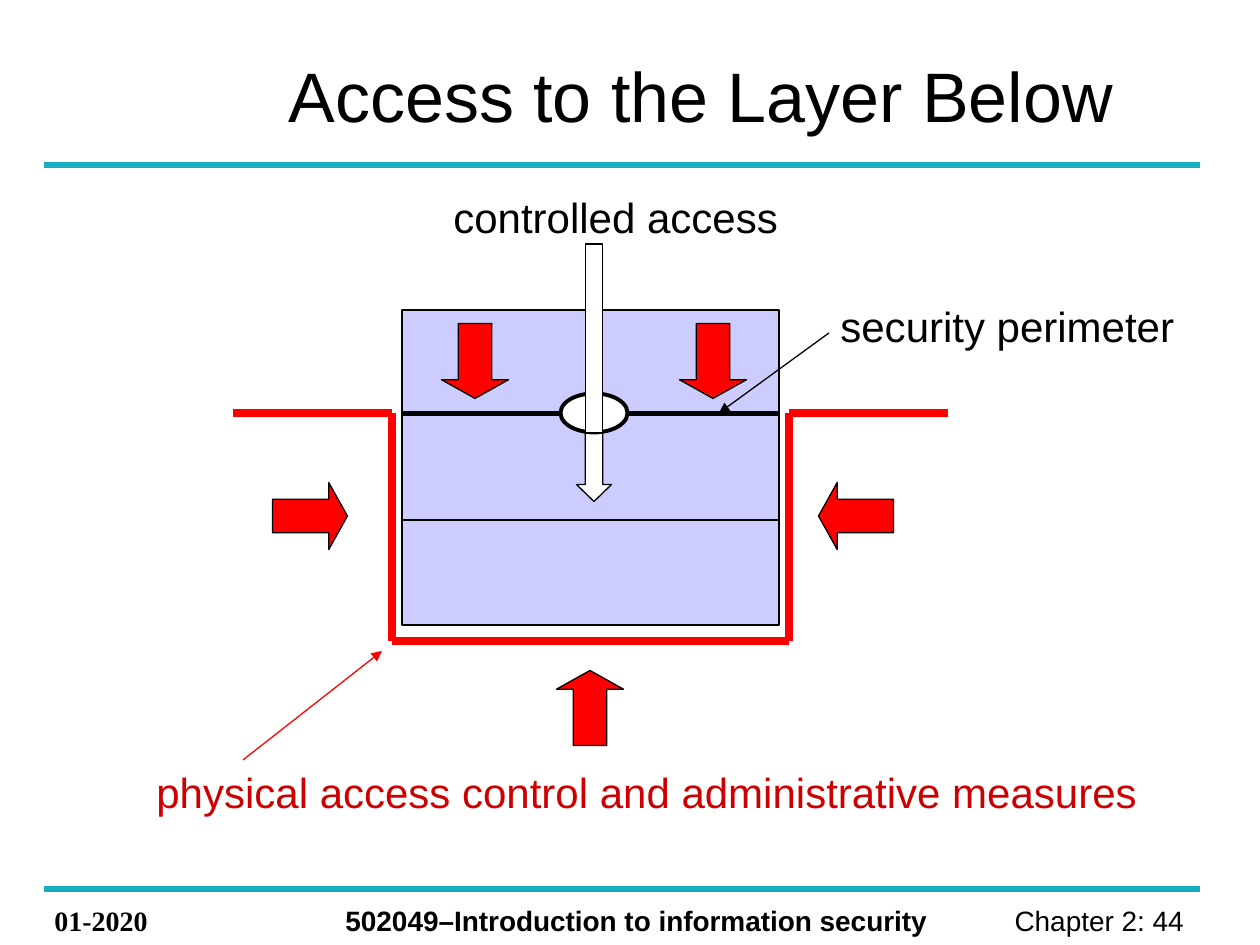
from dataclasses import dataclass

from pptx import Presentation
from pptx.dml.color import RGBColor
from pptx.enum.shapes import MSO_CONNECTOR, MSO_SHAPE
from pptx.enum.text import MSO_ANCHOR, MSO_AUTO_SIZE, PP_ALIGN
from pptx.oxml.ns import qn
from pptx.util import Emu, Pt
from lxml import etree

RECT, OVAL, ARROW = MSO_SHAPE.RECTANGLE, MSO_SHAPE.OVAL, MSO_SHAPE.RIGHT_ARROW
STRAIGHT = MSO_CONNECTOR.STRAIGHT
LEFT, RIGHT, MIDDLE = PP_ALIGN.LEFT, PP_ALIGN.RIGHT, MSO_ANCHOR.MIDDLE
NO_FIT = MSO_AUTO_SIZE.NONE


@dataclass(frozen=True)
class Theme:
    black: str = "000000"
    white: str = "FFFFFF"
    rule: str = "16AFC2"
    layer: str = "CCCCFF"
    attack: str = "FF0000"
    measure: str = "CC0000"
    font: str = "Arial"
    date_font: str = "Times New Roman"
    title_size: int = 40
    label_size: int = 24
    footer_size: int = 16
    thin: float = 0.75
    border: float = 2.25
    rule_width: float = 3
    wall: float = 4.5


THEME = Theme()
SLIDE_W, SLIDE_H = 1260, 945

# Content (lengths in px)
TITLE, TITLE_BOX = "Access to the Layer Below", (276, 40, 900, 110)
RULE_X, RULE_YS = (44, 1200), (165, 889)
FOOTER_TOP, FOOTER_H = 897, 47
FOOTERS = [  # text, left, width, font, bold, alignment
    ("01-2020", 42, 168, THEME.date_font, True, LEFT),
    ("502049–Introduction to information security", 333, 635, THEME.font, True, LEFT),
    ("Chapter 2: 44 ", 927, 277, THEME.font, False, RIGHT),
]
LABEL_H = 63
LABELS = [  # text, left, top, width, colour
    ("controlled access", 441, 185, 350, THEME.black),
    ("security perimeter", 828, 294, 359, THEME.black),
    ("physical access control and administrative measures", 144, 760, 1007, THEME.measure),
]
LAYERS_X, LAYERS_TOP, LAYERS_W, LAYER_H, LAYER_COUNT = 402, 310, 377, 105, 3
PERIMETER_Y = 413
WALL_LEFT, WALL_RIGHT, WALL_BOTTOM, WALL_WING = 392, 789, 641, 159
ATTACK_W, ATTACK_H, ATTACK_HEAD = 75, 67, 0.279
ATTACKS = [  # centre x, centre y, rotation
    (310, 516, 0), (590, 708, 270), (475, 361, 90), (856, 516, 180), (713, 361, 90),
]
GATE_X, GATE_W, GATE_H = 594, 67, 39
SHAFT_TOP, SHAFT_W, SHAFT_H = 244, 17, 189
ACCESS_TIP = (467, 69, 35, 0.485)  # centre y, length, breadth, head
POINTERS = [  # start, end, colour
    ((829, 333), (719, 413), THEME.black),
    ((243, 760), (382, 651), THEME.attack),
]


def px(n):
    return Emu(round(n * 914400 / 126))


def rgb(colour):
    return RGBColor.from_string(colour)


def add_line(slide, start, end, colour, width, arrow=False):
    line = slide.shapes.add_connector(STRAIGHT, *map(px, (*start, *end)))
    line.line.color.rgb = rgb(colour)
    line.line.width = Pt(width)
    properties = line._element.spPr
    if arrow:
        head = etree.SubElement(properties.find(qn("a:ln")), qn("a:tailEnd"))
        head.set("type", "triangle")
    etree.SubElement(properties, qn("a:effectLst"))


def add_block(slide, kind, box, fill, width=THEME.thin):
    block = slide.shapes.add_shape(kind, *map(px, box))
    block.shadow.inherit = False
    block.fill.solid()
    block.fill.fore_color.rgb = rgb(fill)
    block.line.color.rgb = rgb(THEME.black)
    block.line.width = Pt(width)
    return block


def add_arrow(slide, cx, cy, length, breadth, head, rotation, fill):
    box = (cx - length / 2, cy - breadth / 2, length, breadth)
    arrow = add_block(slide, ARROW, box, fill)
    arrow.adjustments[0], arrow.adjustments[1] = 0.5, head
    arrow.rotation = rotation


def write(frame, text, size, colour=THEME.black, font=THEME.font, bold=False, align=LEFT):
    frame.text = text
    paragraph = frame.paragraphs[0]
    paragraph.alignment = align
    paragraph.font.name, paragraph.font.size = font, Pt(size)
    paragraph.font.bold = bold
    paragraph.font.color.rgb = rgb(colour)


def add_text(slide, box, text, size, wrap, **style):
    frame = slide.shapes.add_textbox(*map(px, box)).text_frame
    frame.word_wrap = wrap
    write(frame, text, size, **style)


def add_frame(slide):
    """Title, rules and footer line."""
    title = slide.shapes.title
    title.left, title.top, title.width, title.height = map(px, TITLE_BOX)
    title.text_frame.vertical_anchor = MIDDLE
    title.text_frame.auto_size = NO_FIT
    write(title.text_frame, TITLE, THEME.title_size)
    for y in RULE_YS:
        add_line(slide, (RULE_X[0], y), (RULE_X[1], y), THEME.rule, THEME.rule_width)
    for text, left, width, font, bold, align in FOOTERS:
        add_text(slide, (left, FOOTER_TOP, width, FOOTER_H), text, THEME.footer_size,
                 True, font=font, bold=bold, align=align)


def add_layers_and_wall(slide):
    for i in range(LAYER_COUNT):
        box = (LAYERS_X, LAYERS_TOP + i * LAYER_H, LAYERS_W, LAYER_H)
        add_block(slide, RECT, box, THEME.layer)
    add_line(slide, (WALL_LEFT, WALL_BOTTOM), (WALL_RIGHT, WALL_BOTTOM),
             THEME.attack, THEME.wall)
    for x, wing in ((WALL_LEFT, -WALL_WING), (WALL_RIGHT, WALL_WING)):
        corner = (x, PERIMETER_Y)
        for end in ((x + wing, PERIMETER_Y), (x, WALL_BOTTOM)):
            add_line(slide, corner, end, THEME.attack, THEME.wall)
    for cx, cy, rotation in ATTACKS:
        add_arrow(slide, cx, cy, ATTACK_W, ATTACK_H, ATTACK_HEAD, rotation, THEME.attack)


def add_gate(slide):
    """Security perimeter with the controlled way through it."""
    for edge, side in ((LAYERS_X, -1), (LAYERS_X + LAYERS_W, 1)):
        add_line(slide, (edge, PERIMETER_Y), (GATE_X + side * GATE_W / 2, PERIMETER_Y),
                 THEME.black, THEME.border)
    cy, length, breadth, head = ACCESS_TIP
    add_arrow(slide, GATE_X, cy, length, breadth, head, 90, THEME.white)
    gate = (GATE_X - GATE_W / 2, PERIMETER_Y - GATE_H / 2, GATE_W, GATE_H)
    add_block(slide, OVAL, gate, THEME.white, THEME.border)
    shaft = (GATE_X - SHAFT_W / 2, SHAFT_TOP, SHAFT_W, SHAFT_H)
    add_block(slide, RECT, shaft, THEME.white)


def main():
    deck = Presentation()
    deck.slide_width, deck.slide_height = px(SLIDE_W), px(SLIDE_H)
    slide = deck.slides.add_slide(deck.slide_layouts[5])
    add_frame(slide)
    add_layers_and_wall(slide)
    add_gate(slide)
    for text, left, top, width, colour in LABELS:
        add_text(slide, (left, top, width, LABEL_H), text, THEME.label_size, False,
                 colour=colour)
    for start, end, colour in POINTERS:
        add_line(slide, start, end, colour, THEME.thin, arrow=True)
    deck.save("out.pptx")


if __name__ == "__main__":
    main()
